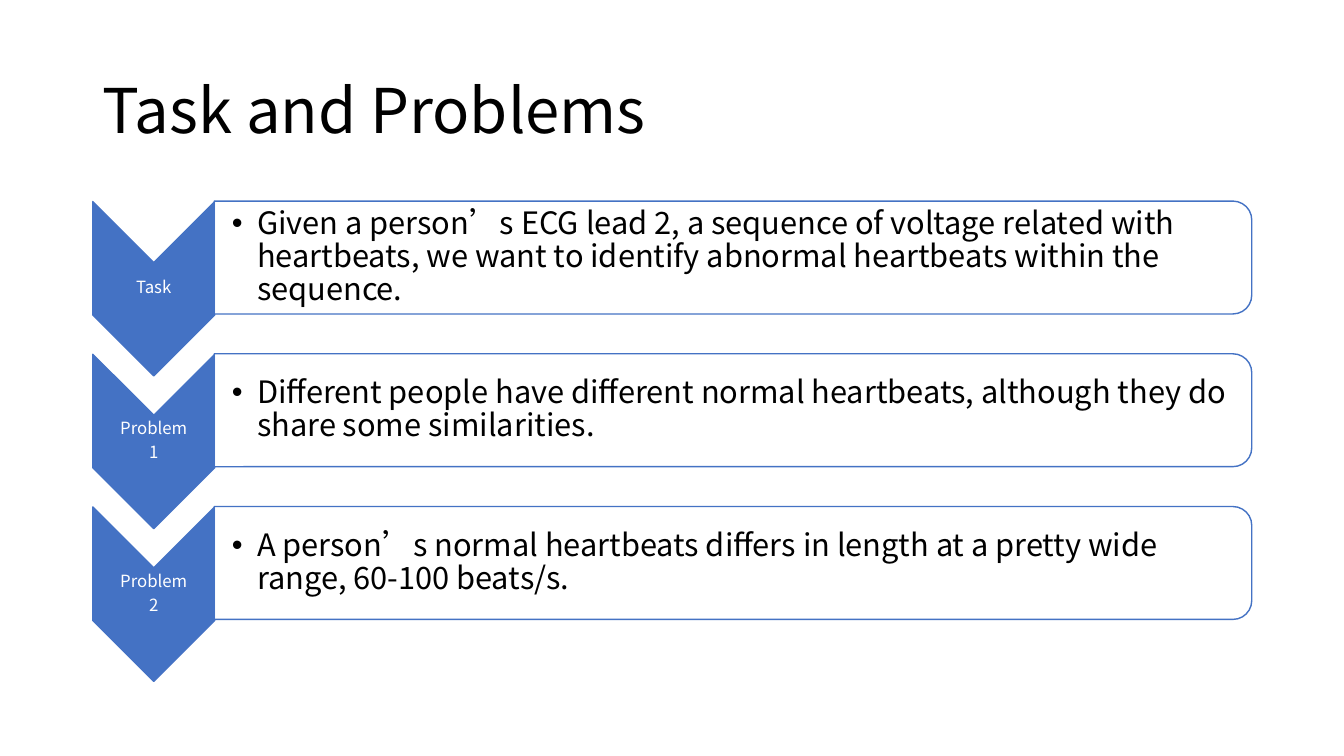
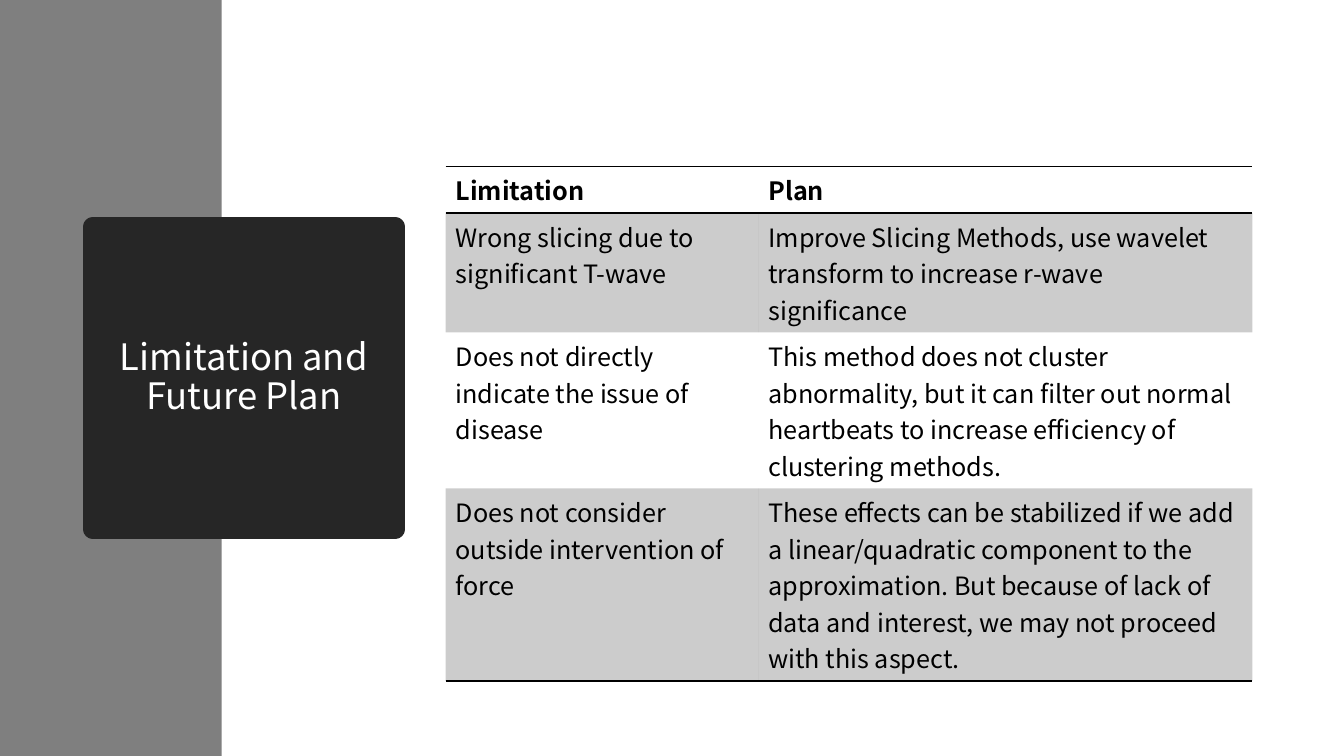
from lxml.etree import SubElement
from pptx import Presentation
from pptx.dml.color import RGBColor
from pptx.enum.shapes import MSO_SHAPE
from pptx.enum.text import MSO_ANCHOR, MSO_AUTO_SIZE, PP_ALIGN
from pptx.oxml import parse_xml
from pptx.oxml.ns import nsdecls, qn
from pptx.util import Inches, Pt

# Shared colours and font
BLACK = RGBColor(0x00, 0x00, 0x00)
WHITE = RGBColor(0xFF, 0xFF, 0xFF)
BLUE = RGBColor(0x44, 0x72, 0xC4)
GRAY = RGBColor(0x7F, 0x7F, 0x7F)
CHARCOAL = RGBColor(0x26, 0x26, 0x26)
FONT = "Noto Sans CJK SC"
NO_GRID_STYLE = "{2D5ABB26-0587-4C30-8999-92F81FD0307C}"

# Text formats
TITLE_FONT = {"size": Pt(44), "bold": False}
PANEL_TITLE_FONT = {"size": Pt(26), "bold": False}
LABEL_FONT = {"size": Pt(12)}
BULLET_FONT = {"size": Pt(22)}
HEADER_FONT = {"size": Pt(18), "bold": True}
CELL_FONT = {"size": Pt(18), "bold": False}
LEFT_PARAGRAPH = {"alignment": PP_ALIGN.LEFT, "line_spacing": 0.9}
CENTER_PARAGRAPH = {"alignment": PP_ALIGN.CENTER, "line_spacing": 0.9}
LABEL_PARAGRAPH = {**CENTER_PARAGRAPH, "space_after": Pt(4.2)}
CELL_PARAGRAPH = {"alignment": PP_ALIGN.LEFT}

# Slide content
STEPS = [
    (["Task"], "Given a person’s ECG lead 2, a sequence of voltage related with "
     "heartbeats, we want to identify abnormal heartbeats within the sequence."),
    (["Problem", "1"], "Different people have different normal heartbeats, "
     "although they do share some similarities."),
    (["Problem", "2"], "A person’s normal heartbeats differs in length at a pretty "
     "wide range, 60-100 beats/s."),
]
PLAN_ROWS = [
    ("Limitation", "Plan"),
    ("Wrong slicing due to significant T-wave",
     "Improve Slicing Methods, use wavelet transform to increase r-wave significance"),
    ("Does not directly indicate the issue of disease",
     "This method does not cluster abnormality, but it can filter out normal "
     "heartbeats to increase efficiency of clustering methods."),
    ("Does not consider outside intervention of force",
     "These effects can be stabilized if we add a linear/quadratic component to the "
     "approximation. But because of lack of data and interest, we may not proceed "
     "with this aspect."),
]


def set_values(target, values):
    for name, value in values.items():
        setattr(target, name, value)


def place(shape, left, top, width, height):
    box = {"left": left, "top": top, "width": width, "height": height}
    set_values(shape, {name: Inches(value) for name, value in box.items()})


def write_text(text_frame, lines, font_values, paragraph_values, color=BLACK):
    for index, line in enumerate(lines):
        paragraph = text_frame.paragraphs[0] if index == 0 else text_frame.add_paragraph()
        set_values(paragraph, paragraph_values)
        run = paragraph.add_run()
        run.text = line
        set_values(run.font, {"name": FONT, **font_values})
        run.font.color.rgb = color
        SubElement(run._r.get_or_add_rPr(), qn("a:ea"), typeface=FONT)


def set_transparency(properties, opacity):
    color = properties.find(qn("a:solidFill")).find(qn("a:srgbClr"))
    SubElement(color, qn("a:alpha"), val=str(opacity * 1000))


def add_title(slide, text, box, font_values, paragraph_values, color=BLACK):
    title = slide.shapes.title
    place(title, *box)
    set_values(title.text_frame, {"word_wrap": True, "auto_size": MSO_AUTO_SIZE.NONE,
                                  "vertical_anchor": MSO_ANCHOR.MIDDLE})
    write_text(title.text_frame, [text], font_values, paragraph_values, color)
    return title


def add_preset(slide, kind, box, fill, line=None, rotation=0):
    shape = slide.shapes.add_shape(kind, *map(Inches, box))
    shape.rotation = rotation
    shape.shadow.inherit = False
    shape.fill.solid()
    shape.fill.fore_color.rgb = fill
    if line is None:
        shape.line.fill.background()
    else:
        shape.line.color.rgb = line
        shape.line.width = Pt(1)
    return shape


def add_text(slide, box, lines, margins, font_values, paragraph_values, color=BLACK):
    text_box = slide.shapes.add_textbox(*map(Inches, box))
    sides = ("margin_left", "margin_top", "margin_right", "margin_bottom")
    set_values(text_box.text_frame, {
        "word_wrap": True, "vertical_anchor": MSO_ANCHOR.MIDDLE,
        **{side: Inches(margin) for side, margin in zip(sides, margins)}})
    write_text(text_box.text_frame, lines, font_values, paragraph_values, color)
    return text_box


def add_bullet(paragraph, indent):
    properties = paragraph._p.get_or_add_pPr()
    properties.set("marL", str(Inches(indent)))
    properties.set("indent", str(-Inches(indent)))
    SubElement(properties, qn("a:buFont"), typeface="Arial")
    SubElement(properties, qn("a:buChar"), char="•")


def add_step(slide, top, label, description):
    add_preset(slide, MSO_SHAPE.CHEVRON, (0.66, top + 0.21, 1.73, 1.21), BLUE, BLUE, 90)
    add_text(slide, (0.92, top + 0.55, 1.21, 0.52), label, [0.01] * 4,
             LABEL_FONT, LABEL_PARAGRAPH, WHITE)
    panel = add_preset(slide, MSO_SHAPE.ROUND_2_SAME_RECTANGLE,
                       (6.71, top - 4.64, 1.12, 10.29), WHITE, BLUE, 90)
    set_transparency(panel.element.spPr, 90)
    text_box = add_text(slide, (2.13, top, 10.24, 1.01), [description],
                        [0.17, 0.02, 0.02, 0.02], BULLET_FONT, LEFT_PARAGRAPH)
    add_bullet(text_box.text_frame.paragraphs[0], 0.25)


def add_cell_borders(cell, sides):
    properties = cell._tc.get_or_add_tcPr()
    for index, side in enumerate(sides):
        properties.insert(index, parse_xml(
            f'<a:{side} {nsdecls("a")} w="{Pt(1)}"><a:solidFill>'
            f'<a:srgbClr val="{BLACK}"/></a:solidFill></a:{side}>'))


def add_plan_table(slide, rows, box, column_widths, row_heights):
    frame = slide.shapes.add_table(len(rows), len(column_widths), *map(Inches, box))
    frame.element.find(".//" + qn("a:tableStyleId")).text = NO_GRID_STYLE
    table = frame.table
    set_values(table, {"first_row": False, "horz_banding": False})
    for column, width in zip(table.columns, column_widths):
        column.width = Inches(width)
    for row, height in zip(table.rows, row_heights):
        row.height = Inches(height)
    borders = {0: ("lnT", "lnB"), len(rows) - 1: ("lnB",)}
    for row_index, texts in enumerate(rows):
        for column_index, text in enumerate(texts):
            cell = table.cell(row_index, column_index)
            font_values = HEADER_FONT if row_index == 0 else CELL_FONT
            write_text(cell.text_frame, [text], font_values, CELL_PARAGRAPH)
            if row_index % 2:
                cell.fill.solid()
                cell.fill.fore_color.rgb = BLACK
                set_transparency(cell._tc.get_or_add_tcPr(), 20)
            else:
                cell.fill.background()
            add_cell_borders(cell, borders.get(row_index, ()))


def build_task_slide(presentation):
    slide = presentation.slides.add_slide(presentation.slide_layouts[5])
    add_title(slide, "Task and Problems", (0.92, 0.4, 11.5, 1.45),
              TITLE_FONT, LEFT_PARAGRAPH)
    for index, (label, description) in enumerate(STEPS):
        add_step(slide, 2.05 + index * 1.515, label, description)


def build_plan_slide(presentation):
    slide = presentation.slides.add_slide(presentation.slide_layouts[5])
    title = add_title(slide, "Limitation and Future Plan", (0.92, 2.25, 3, 3),
                      PANEL_TITLE_FONT, CENTER_PARAGRAPH, WHITE)
    title.fill.solid()
    title.fill.fore_color.rgb = CHARCOAL
    title.line.color.rgb = CHARCOAL
    title.line.width = Pt(13.75)
    # The side band lies behind the title
    band = add_preset(slide, MSO_SHAPE.RECTANGLE, (0, 0, 2.2, 7.5), GRAY)
    title.element.addprevious(band.element)
    add_plan_table(slide, PLAN_ROWS, (4.42, 1.65, 8, 4.19),
                   (3.1, 4.9), (0.44, 1.05, 1.05, 1.65))


def main():
    presentation = Presentation()
    presentation.slide_width = Inches(13.33)
    presentation.slide_height = Inches(7.5)
    build_task_slide(presentation)
    build_plan_slide(presentation)
    presentation.save("out.pptx")


if __name__ == "__main__":
    main()
